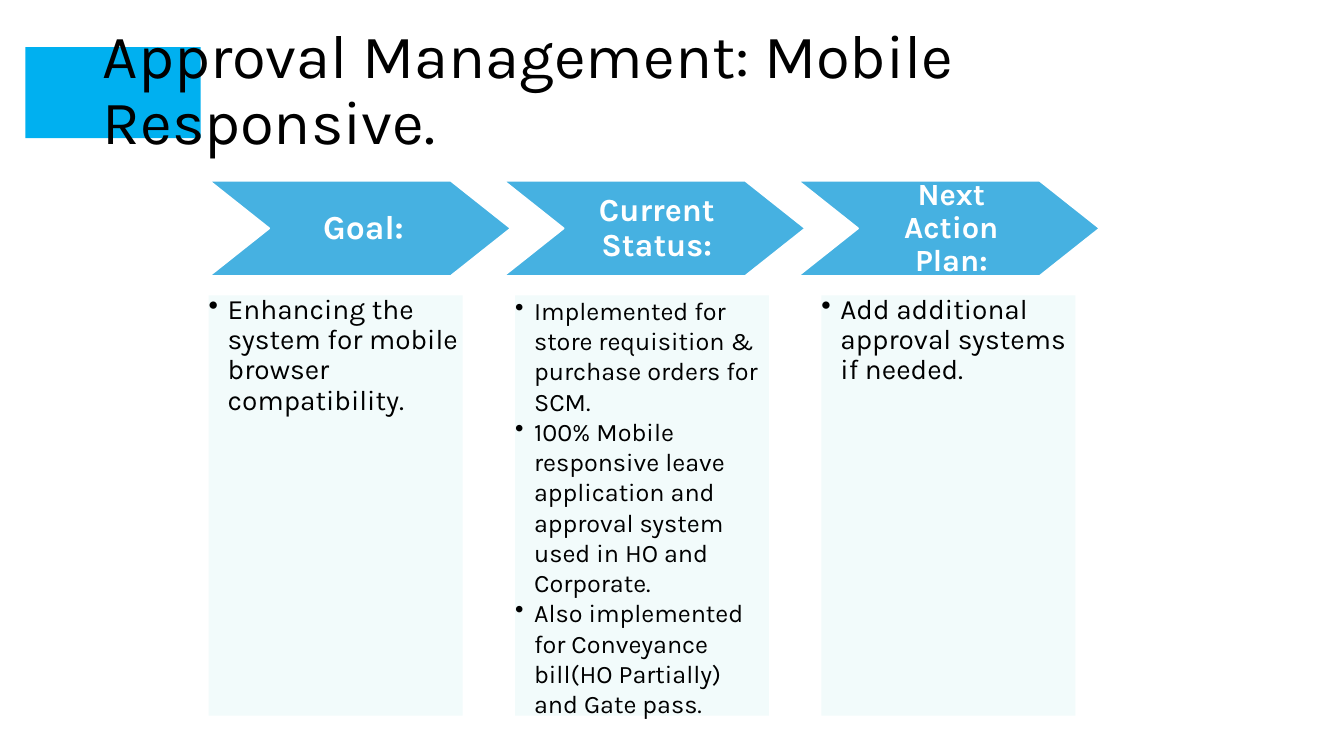
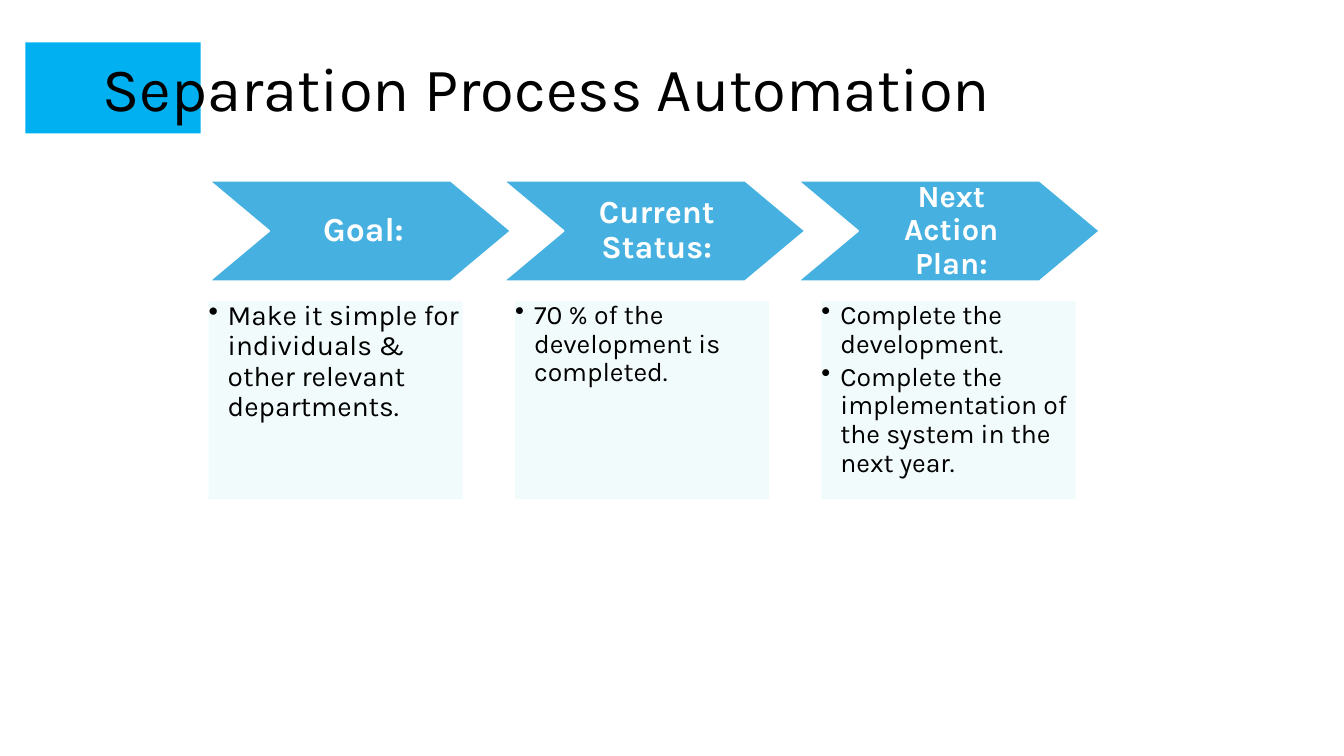
from lxml.etree import SubElement
from pptx import Presentation
from pptx.dml.color import RGBColor
from pptx.enum.shapes import MSO_SHAPE
from pptx.enum.text import MSO_ANCHOR, MSO_AUTO_SIZE, PP_ALIGN
from pptx.oxml.ns import qn
from pptx.util import Cm, Pt

FONT = "Karla"
COLORS = {
    "band": "00B0F0",
    "chevron": "46B1E1",
    "card": "F2FBFB",
    "text": "000000",
    "white": "FFFFFF",
}
TITLE_ONLY = 5

# Shared grid, in centimetres
COLUMNS_LEFT = 5.26
CHEVRON_TOP, CHEVRON_WIDTH, CHEVRON_PITCH, CHEVRON_POINT = 4.55, 7.62, 7.42, 1.52
CARD_WIDTH, CARD_PITCH, BULLET_INDENT = 6.4, 7.72, 0.48

# Heading, size, and insets: left, right, top and bottom
HEADINGS = [
    ("Goal:", 24, (0.36, 0.18, 0.1)),
    ("Current Status:", 23, (0.28, 0.15, 0.08)),
    ("Next Action Plan:", 22, (0.28, 0.15, 0.08)),
]

# Each card: text size, line spacing, bullet texts
SLIDES = [
    {
        "title": "Approval Management: Mobile Responsive.",
        "band_top": 1.19,
        "chevron_height": 2.41,
        "card_height": 10.59,
        "cards": [
            (20, 0.9, ["Enhancing the system for mobile browser compatibility."]),
            (18, 1.0, [
                "Implemented for store requisition & purchase orders for SCM.",
                "100% Mobile responsive leave application and approval system "
                "used in HO and Corporate.",
                "Also implemented for Conveyance bill(HO Partially) and Gate pass.",
            ]),
            (20, 0.9, ["Add additional approval systems if needed."]),
        ],
    },
    {
        "title": "Separation Process Automation",
        "band_top": 1.07,
        "chevron_height": 2.54,
        "card_height": 4.98,
        "cards": [
            (20, 0.9, ["Make it simple for individuals & other relevant departments."]),
            (19, 0.9, ["70 % of the development is completed."]),
            (19, 0.9, [
                "Complete the development.",
                "Complete the implementation of the system in the next year.",
            ]),
        ],
    },
]


def color(name):
    return RGBColor.from_string(COLORS[name])


def format_paragraph(paragraph, size, text_color, spacing, align=PP_ALIGN.LEFT, bold=False):
    paragraph.alignment = align
    paragraph.line_spacing = spacing
    font = paragraph.font
    font.name, font.size, font.bold = FONT, Pt(size), bold
    font.color.rgb = color(text_color)


def set_frame(frame, anchor, left=0, right=0, vertical=0):
    frame.word_wrap = True
    frame.auto_size = MSO_AUTO_SIZE.NONE
    frame.vertical_anchor = anchor
    frame.margin_left, frame.margin_right = Cm(left), Cm(right)
    frame.margin_top = frame.margin_bottom = Cm(vertical)


def add_box(slide, kind, box, fill):
    """Add a flat, unlined preset shape; box is left, top, width, height in cm."""
    shape = slide.shapes.add_shape(kind, *map(Cm, box))
    shape.shadow.inherit = False
    shape.fill.solid()
    shape.fill.fore_color.rgb = color(fill)
    shape.line.fill.background()
    return shape


def add_title(slide, text, band_top):
    band = add_box(slide, MSO_SHAPE.RECTANGLE, (0.64, band_top, 4.42, 2.29), "band")
    title = slide.shapes.title
    band.element.addnext(title.element)  # title in front of the band
    title.left, title.top, title.width, title.height = map(Cm, (2.34, 1.02, 28.7, 2.57))
    set_frame(title.text_frame, MSO_ANCHOR.MIDDLE, 0.25, 0.25, 0.13)
    title.text_frame.text = text
    format_paragraph(title.text_frame.paragraphs[0], 44, "text", 0.9)


def add_chevron(slide, box, text, size, insets):
    chevron = add_box(slide, MSO_SHAPE.CHEVRON, box, "chevron")
    chevron.adjustments[0] = CHEVRON_POINT / box[3]
    chevron.line.color.rgb = color("white")
    chevron.line.width = Pt(1.5)
    set_frame(chevron.text_frame, MSO_ANCHOR.MIDDLE, *insets)
    chevron.text_frame.text = text
    format_paragraph(chevron.text_frame.paragraphs[0], size, "white", 0.9,
                     PP_ALIGN.CENTER, bold=True)


def add_bullet(paragraph):
    properties = paragraph._p.get_or_add_pPr()
    properties.set("marL", str(Cm(BULLET_INDENT)))
    properties.set("indent", str(-Cm(BULLET_INDENT)))
    SubElement(properties, qn("a:buChar")).set("char", "•")


def add_card(slide, box, size, spacing, bullets):
    card = add_box(slide, MSO_SHAPE.RECTANGLE, box, "card")
    frame = card.text_frame
    set_frame(frame, MSO_ANCHOR.TOP)
    frame.text = "\n".join(bullets)
    for paragraph in frame.paragraphs:
        add_bullet(paragraph)
        if spacing < 1:
            paragraph.space_after = Pt(3)
        format_paragraph(paragraph, size, "text", spacing)


def add_process_slide(presentation, content):
    slide = presentation.slides.add_slide(presentation.slide_layouts[TITLE_ONLY])
    add_title(slide, content["title"], content["band_top"])
    chevron_height = content["chevron_height"]
    card_top = CHEVRON_TOP + 1.2 * chevron_height
    for column, (heading, card) in enumerate(zip(HEADINGS, content["cards"])):
        card_left = COLUMNS_LEFT + column * CARD_PITCH
        add_card(slide, (card_left, card_top, CARD_WIDTH, content["card_height"]), *card)
        chevron_left = COLUMNS_LEFT + column * CHEVRON_PITCH
        add_chevron(slide, (chevron_left, CHEVRON_TOP, CHEVRON_WIDTH, chevron_height), *heading)


def main():
    presentation = Presentation()
    presentation.slide_width, presentation.slide_height = Cm(33.87), Cm(19.05)
    for content in SLIDES:
        add_process_slide(presentation, content)
    presentation.save("out.pptx")


if __name__ == "__main__":
    main()
